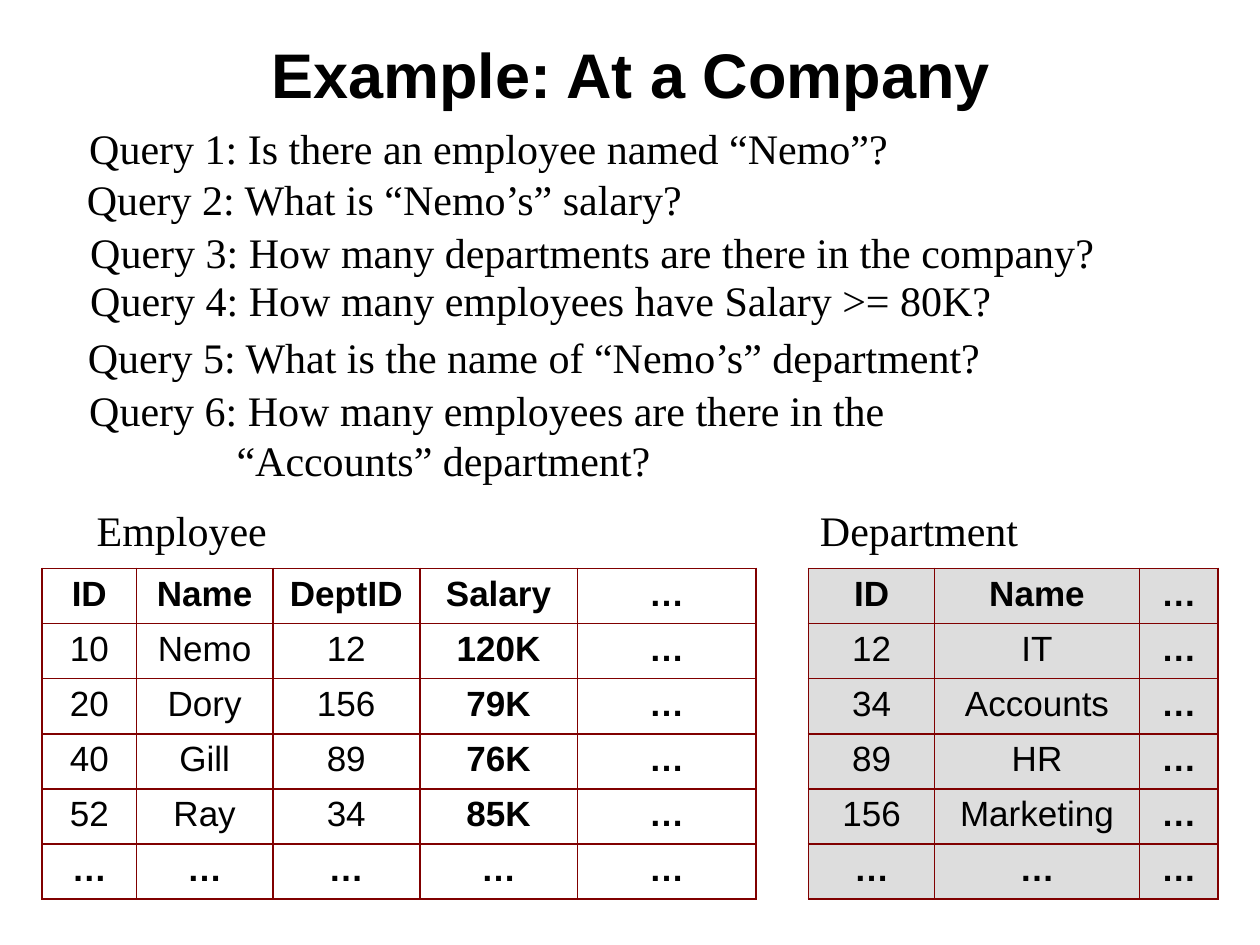
from lxml import etree
from pptx import Presentation
from pptx.dml.color import RGBColor
from pptx.enum.text import MSO_ANCHOR, PP_ALIGN
from pptx.oxml.ns import qn
from pptx.util import Cm, Pt

CENTER = PP_ALIGN.CENTER
MIDDLE = MSO_ANCHOR.MIDDLE
SANS, SERIF = "Arial", "Times New Roman"
BLACK, WHITE, GREY, MAROON = "000000", "FFFFFF", "DDDDDD", "800000"
MORE = "…"
ROW_HEIGHT = 1.11

EMPLOYEES = [
    ("ID", "Name", "DeptID", "Salary", MORE),
    ("10", "Nemo", "12", "120K", MORE),
    ("20", "Dory", "156", "79K", MORE),
    ("40", "Gill", "89", "76K", MORE),
    ("52", "Ray", "34", "85K", MORE),
    (MORE,) * 5,
]
DEPARTMENTS = [
    ("ID", "Name", MORE),
    ("12", "IT", MORE),
    ("34", "Accounts", MORE),
    ("89", "HR", MORE),
    ("156", "Marketing", MORE),
    (MORE,) * 3,
]
QUERIES = [
    (1.55, 2.34, 16.65, ["Query 1: Is there an employee named “Nemo”?"]),
    (1.5, 3.38, 12.6, ["Query 2: What is “Nemo’s” salary?"]),
    (1.57, 4.45, 20.8, ["Query 3: How many departments are there in the company?"]),
    (1.57, 5.41, 18.9, ["Query 4: How many employees have Salary >= 80K?"]),
    (1.52, 6.55, 18.6, ["Query 5: What is the name of “Nemo’s” department?"]),
    (1.55, 7.62, 16.8, ["Query 6: How many employees are there in the",
                        "“Accounts” department?"]),
]


def rgb(color):
    """Turn a hex string into a colour."""
    return RGBColor.from_string(color)


def format_runs(p, font, size, bold=False):
    """Give every run of a paragraph the same font."""
    for r in p.runs:
        r.font.name = font
        r.font.size = Pt(size)
        r.font.bold = bold
        r.font.color.rgb = rgb(BLACK)


def set_title(s, text):
    """Place and format the title."""
    sp = s.shapes.title
    sp.left, sp.top, sp.width, sp.height = Cm(1.07), Cm(0), Cm(23.29), Cm(2.97)
    tf = sp.text_frame
    tf.text = text
    tf.vertical_anchor = MIDDLE
    p = tf.paragraphs[0]
    p.alignment = CENTER
    format_runs(p, SANS, 36, True)


def add_text(s, left, top, width, lines, height=1.27):
    """Add a serif text box whose later lines hang under the first."""
    tf = s.shapes.add_textbox(Cm(left), Cm(top), Cm(width), Cm(height)).text_frame
    tf.word_wrap = True
    tf.text = "\n".join(lines)
    for i, p in enumerate(tf.paragraphs):
        format_runs(p, SERIF, 24)
        if i:
            p._p.get_or_add_pPr().set("marL", str(Cm(2.97)))
    return tf


def add_label(s, left, width, text):
    """Add the name above a table."""
    p = add_text(s, left, 10.16, width, [text], 1.17).paragraphs[0]
    p.line_spacing = 0.9
    p.space_after = Pt(3)


def add_borders(cell, color, width):
    """Draw a line on each side of a cell."""
    tc_pr = cell._tc.get_or_add_tcPr()
    for i, side in enumerate(("lnL", "lnR", "lnT", "lnB")):
        ln = etree.Element(qn("a:" + side), w=str(Pt(width)))
        fill = etree.SubElement(ln, qn("a:solidFill"))
        etree.SubElement(fill, qn("a:srgbClr"), val=color)
        tc_pr.insert(i, ln)


def add_grid(s, left, widths, rows, fill):
    """Add a bordered table with a bold header, salaries and ellipses."""
    frame = s.shapes.add_table(len(rows), len(widths), Cm(left), Cm(11.46),
                               Cm(sum(widths)), Cm(ROW_HEIGHT * len(rows)))
    table = frame.table
    table.first_row = table.horz_banding = False
    for column, width in zip(table.columns, widths):
        column.width = Cm(width)
    for i, row in enumerate(rows):
        table.rows[i].height = Cm(ROW_HEIGHT)
        for j, text in enumerate(row):
            cell = table.cell(i, j)
            cell.text = text
            cell.fill.solid()
            cell.fill.fore_color.rgb = rgb(fill)
            add_borders(cell, MAROON, 1.08)
            p = cell.text_frame.paragraphs[0]
            p.alignment = CENTER
            p.space_before = Pt(5)
            format_runs(p, SANS, 20, i == 0 or text == MORE or rows[0][j] == "Salary")


def main():
    """Build the slide and save it."""
    prs = Presentation()
    prs.slide_width, prs.slide_height = Cm(25.4), Cm(19.05)
    s = prs.slides.add_slide(prs.slide_layouts[5])
    set_title(s, "Example: At a Company")
    add_grid(s, 0.85, (1.9, 2.75, 2.96, 3.18, 3.6), EMPLOYEES, WHITE)
    add_grid(s, 16.3, (2.54, 4.13, 1.59), DEPARTMENTS, GREY)
    add_label(s, 1.7, 4, "Employee")
    add_label(s, 16.28, 4.6, "Department")
    for left, top, width, lines in QUERIES:
        add_text(s, left, top, width, lines, 0.24 + 1.03 * len(lines))
    prs.save("out.pptx")


main()
